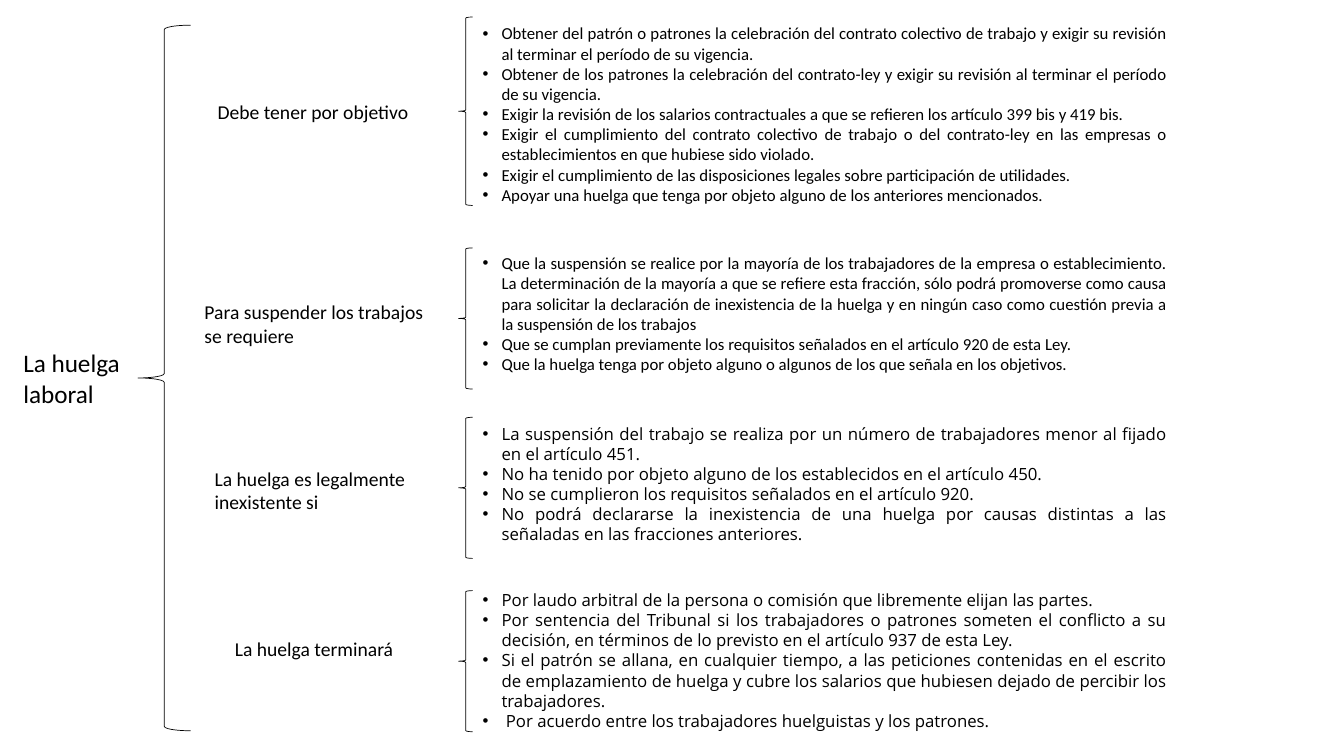
from pptx import Presentation
from pptx.dml.color import RGBColor as Color
from pptx.enum.shapes import MSO_SHAPE as Kind
from pptx.enum.text import MSO_ANCHOR as Anchor, MSO_AUTO_SIZE as Fit, PP_ALIGN as Align
from pptx.oxml.ns import qn
from pptx.util import Pt
from lxml.etree import SubElement as Sub

HUES = {"ink": "000000"}
INK = Color.from_string(HUES["ink"])

GROUPS = [
    dict(top=12.2, high=134.6, font="Calibri",
         label=["Debe tener por objetivo"], spot=(148.3, 67.7, 152.6, 24.5),
         drop=0.8, deep=159.8,
         items=[
             "Obtener del patrón o patrones la celebración del contrato colectivo de trabajo "
             "y exigir su revisión al terminar el período de su vigencia.",
             "Obtener de los patrones la celebración del contrato-ley y exigir su revisión "
             "al terminar el período de su vigencia.",
             "Exigir la revisión de los salarios contractuales a que se refieren los artículo "
             "399 bis y 419 bis.",
             "Exigir el cumplimiento del contrato colectivo de trabajo o del contrato-ley "
             "en las empresas o establecimientos en que hubiese sido violado.",
             "Exigir el cumplimiento de las disposiciones legales sobre participación de utilidades.",
             "Apoyar una huelga que tenga por objeto alguno de los anteriores mencionados."]),
    dict(top=177.1, high=100.8, font="Calibri",
         label=["Para suspender los trabajos ", "se requiere"], spot=(139, 211, 175.7, 41),
         drop=0, deep=94.3,
         items=[
             "Que la suspensión se realice por la mayoría de los trabajadores de la empresa "
             "o establecimiento. La determinación de la mayoría a que se refiere esta fracción, "
             "sólo podrá promoverse como causa para solicitar la declaración de inexistencia "
             "de la huelga y en ningún caso como cuestión previa a la suspensión de los trabajos",
             "Que se cumplan previamente los requisitos señalados en el artículo 920 de esta Ley.",
             "Que la huelga tenga por objeto alguno o algunos de los que señala en los objetivos."]),
    dict(top=298.1, high=100.8, font="Open Sans",
         label=["La huelga es legalmente", "inexistente si"], spot=(146.2, 329.8, 151.9, 41),
         drop=0.7, deep=94.3,
         items=[
             "La suspensión del trabajo se realiza por un número de trabajadores menor "
             "al fijado en el artículo 451.",
             "No ha tenido por objeto alguno de los establecidos en el artículo 450.",
             "No se cumplieron los requisitos señalados en el artículo 920.",
             "No podrá declararse la inexistencia de una huelga por causas distintas "
             "a las señaladas en las fracciones anteriores."]),
    dict(top=421.9, high=100.8, font="Open Sans",
         label=["La huelga terminará"], spot=(160.6, 451.4, 128.9, 24.5),
         drop=-4.3, deep=108.7,
         items=[
             "Por laudo arbitral de la persona o comisión que libremente elijan las partes.",
             "Por sentencia del Tribunal si los trabajadores o patrones someten el conflicto "
             "a su decisión, en términos de lo previsto en el artículo 937 de esta Ley.",
             "Si el patrón se allana, en cualquier tiempo, a las peticiones contenidas "
             "en el escrito de emplazamiento de huelga y cubre los salarios que hubiesen "
             "dejado de percibir los trabajadores.",
             "\u00a0Por acuerdo entre los trabajadores huelguistas y los patrones."]),
]


def brace(slide, *box):
    shape = slide.shapes.add_shape(Kind.LEFT_BRACE, *map(Pt, box))
    shape.shadow.inherit = False
    shape.fill.background()
    shape.line.color.rgb = INK
    shape.line.width = Pt(0.5)


def write(shape, lines, size, font="Calibri", wrap=False, align=Align.LEFT):
    frame = shape.text_frame
    frame.word_wrap = wrap
    frame.auto_size = Fit.SHAPE_TO_FIT_TEXT
    frame.vertical_anchor = Anchor.TOP
    for i, line in enumerate(lines):
        para = frame.add_paragraph() if i else frame.paragraphs[0]
        para.alignment = align
        run = para.add_run()
        run.text = line
        run.font.size = Pt(size)
        run.font.name = font
        run.font.color.rgb = INK
    return frame


def bullet(para):
    props = para._p.get_or_add_pPr()
    props.set("marL", str(Pt(13.5)))
    props.set("indent", str(Pt(-13.5)))
    Sub(props, qn("a:buFont")).set("typeface", "Arial")
    Sub(props, qn("a:buChar")).set("char", "•")


def root(slide, left, top, wide, high):
    title = slide.shapes.title
    title.left, title.top = Pt(left), Pt(top + 226.8)
    title.width, title.height = Pt(88.6), Pt(51.1)
    write(title, ["La huelga ", "laboral "], 18)
    brace(slide, left + 89.2, top, wide - 89.2, high)


def group(slide, data, left, top, wide, high):
    label = slide.shapes.add_textbox(*map(Pt, data["spot"]))
    write(label, data["label"], 14)
    brace(slide, left, top, 10.1, high)
    notes = slide.shapes.add_textbox(
        Pt(left + 10.1), Pt(top + data["drop"]), Pt(wide - 10.1), Pt(data["deep"]))
    frame = write(notes, data["items"], 12, data["font"], True, Align.JUSTIFY)
    for para in frame.paragraphs:
        bullet(para)


deck = Presentation()
deck.slide_width, deck.slide_height = Pt(960), Pt(540)
slide = deck.slides.add_slide(deck.slide_layouts[5])
root(slide, 9.4, 18, 126.7, 504)
for data in GROUPS:
    group(slide, data, 327.6, data["top"], 513.4, data["high"])
deck.save("out.pptx")
